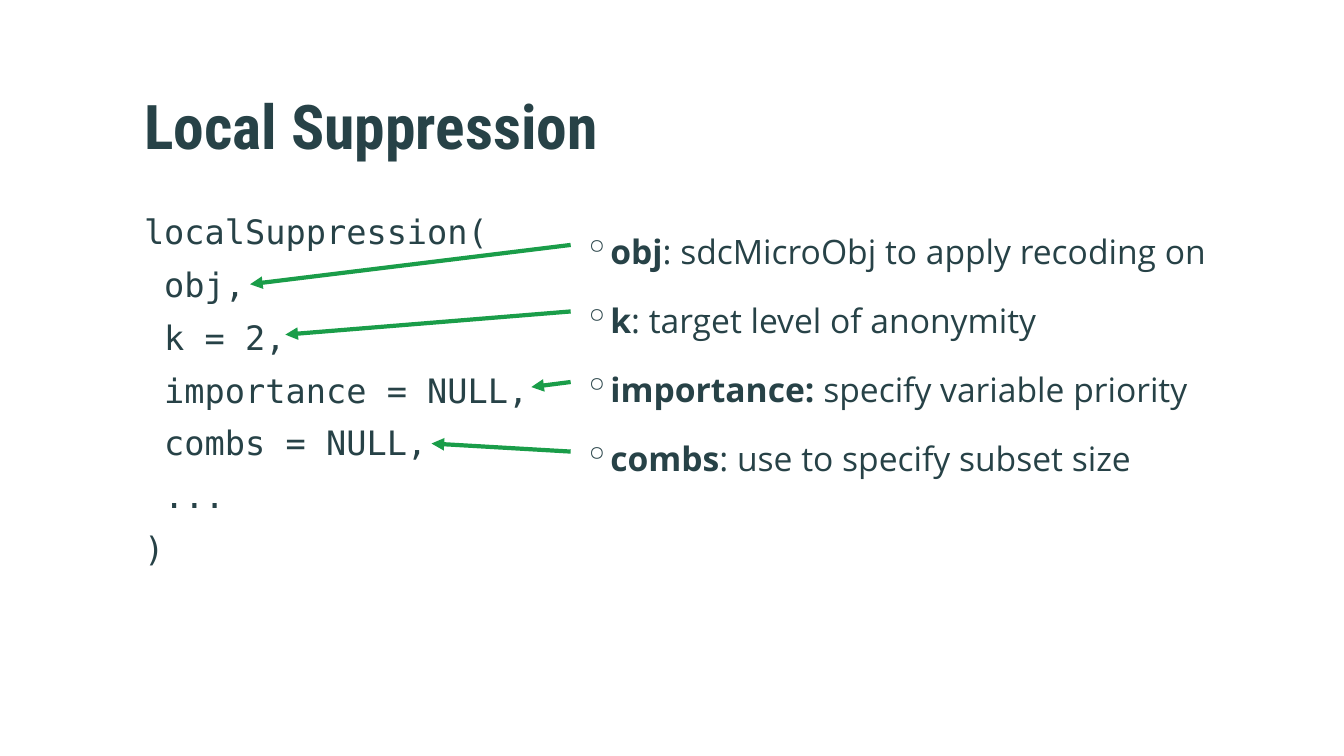
from dataclasses import dataclass

from pptx import Presentation
from pptx.dml.color import RGBColor
from pptx.enum.shapes import MSO_CONNECTOR as Connector
from pptx.enum.text import MSO_ANCHOR as Anchor, PP_ALIGN as Align
from pptx.oxml.ns import qn
from pptx.oxml.xmlchemy import OxmlElement
from pptx.util import Inches, Pt


@dataclass(frozen=True)
class Theme:
    ink: RGBColor = RGBColor.from_string("274247")
    arrow: RGBColor = RGBColor.from_string("1A9D49")
    title_font: str = "Roboto Condensed"
    code_font: str = "DejaVu Sans Mono"
    body_font: str = "Open Sans"
    title_size: int = 44
    body_size: int = 24
    arrow_width: int = 3


def apply(target, formats):
    for name, value in formats.items():
        setattr(target, name, value)


class SlideBuilder:
    def __init__(self, presentation, theme):
        self.theme = theme
        self.slide = presentation.slides.add_slide(presentation.slide_layouts[5])

    def place(self, shape, box):
        names = ("left", "top", "width", "height")
        apply(shape, dict(zip(names, map(Inches, box))))

    def add_text(self, paragraph, text, font, size, bold=False):
        run = paragraph.add_run()
        run.text = text
        apply(run.font, {"name": font, "size": Pt(size), "bold": bold})
        run.font.color.rgb = self.theme.ink

    def title(self, text, box):
        shape = self.slide.shapes.title
        self.place(shape, box)
        apply(shape.text_frame, {
            "vertical_anchor": Anchor.MIDDLE, "word_wrap": True,
            "margin_top": 0, "margin_bottom": Inches(0.05),
        })
        paragraph = shape.text_frame.paragraphs[0]
        apply(paragraph, {"alignment": Align.LEFT, "line_spacing": 0.9})
        self.add_text(paragraph, text, self.theme.title_font,
                      self.theme.title_size, True)

    def paragraphs(self, box, count, formats):
        frame = self.slide.shapes.add_textbox(*map(Inches, box)).text_frame
        frame.word_wrap = True
        for _ in range(count - 1):
            frame.add_paragraph()
        for paragraph in frame.paragraphs:
            apply(paragraph, formats)
        return frame.paragraphs

    def code(self, lines, box):
        formats = {"line_spacing": Pt(28.8), "space_after": Pt(9)}
        for paragraph, line in zip(self.paragraphs(box, len(lines), formats), lines):
            self.add_text(paragraph, line, self.theme.code_font, self.theme.body_size)

    def bullets(self, items, box):
        formats = {"level": 1, "line_spacing": Pt(43.2), "space_after": Pt(6)}
        for paragraph, (term, meaning) in zip(
                self.paragraphs(box, len(items), formats), items):
            properties = paragraph._p.get_or_add_pPr()
            properties.set("marL", str(Inches(0.43)))
            properties.set("indent", str(Inches(-0.16)))
            bullet = OxmlElement("a:buChar")
            bullet.set("char", "◦")
            properties.append(bullet)
            for text, bold in ((term, True), (meaning, False)):
                self.add_text(paragraph, text, self.theme.body_font,
                              self.theme.body_size, bold)

    def arrow(self, start, end):
        connector = self.slide.shapes.add_connector(
            Connector.STRAIGHT, *map(Inches, start + end))
        connector.line.color.rgb = self.theme.arrow
        connector.line.width = Pt(self.theme.arrow_width)
        head = OxmlElement("a:tailEnd")
        head.set("type", "triangle")
        properties = connector._element.spPr
        properties.find(qn("a:ln")).append(head)
        properties.append(OxmlElement("a:effectLst"))


def main():
    presentation = Presentation()
    apply(presentation, {"slide_width": Inches(13.33), "slide_height": Inches(7.5)})
    builder = SlideBuilder(presentation, Theme())

    # Title
    builder.title("Local Suppression", (1.33, 0.6, 10.56, 1.43))

    # Function call
    builder.code([
        "localSuppression(",
        " obj,",
        " k = 2,",
        " importance = NULL,",
        " combs = NULL,",
        " ...",
        ")",
    ], (1.33, 2.04, 11.81, 4.35))

    # Explanation of the arguments
    builder.bullets([
        ("obj", ": sdcMicroObj to apply recoding on"),
        ("k", ": target level of anonymity"),
        ("importance: ", "specify variable priority"),
        ("combs", ": use to specify subset size"),
    ], (5.42, 2.04, 7.08, 4.35))

    # Arrows from each explanation to its argument
    explanation_left = 5.66
    for start_y, argument_end in (
        (2.43, (2.48, 2.82)),
        (3.09, (2.83, 3.32)),
        (3.79, (5.27, 3.84)),
        (4.48, (4.28, 4.4)),
    ):
        builder.arrow((explanation_left, start_y), argument_end)

    presentation.save("out.pptx")


if __name__ == "__main__":
    main()
